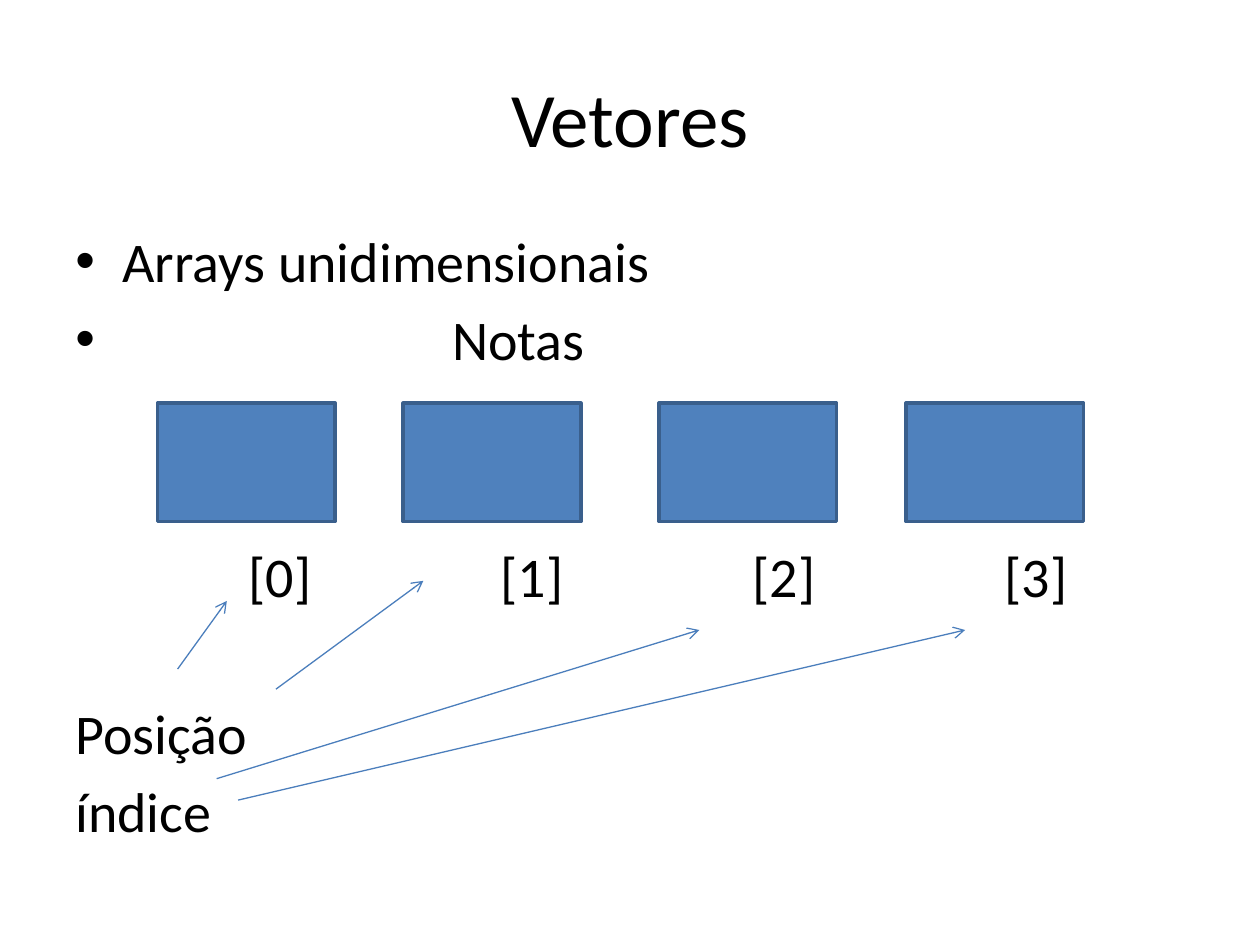
from typing import NamedTuple

from lxml import etree
from pptx import Presentation
from pptx.dml.color import RGBColor
from pptx.enum import shapes, text
from pptx.oxml import ns
from pptx.util import Inches, Pt

BLACK = RGBColor(0x00, 0x00, 0x00)
BOX_FILL = RGBColor(0x4F, 0x81, 0xBD)
BOX_EDGE = RGBColor(0x3A, 0x5F, 0x8C)
ARROW = RGBColor(0x4B, 0x7E, 0xBC)

LINE_GAP = 6.2  # points between lines
LINE_STEP = 45.3  # points from one line to the next


class Line(NamedTuple):
    words: str
    indent: float = 0.375
    bullet: bool = False
    skipped: int = 0  # empty line heights above


class Pointer(NamedTuple):
    start: tuple[float, float]
    end: tuple[float, float]


LINES = [
    Line("Arrays unidimensionais", bullet=True),
    Line("Notas", indent=2.99, bullet=True),
    Line("".join(f"\t\t[{i}]" for i in range(4)), skipped=2),
    Line("Posição", skipped=1),
    Line("índice"),
]
BOX_LEFTS = (1.25, 3.2, 5.23, 7.19)
POINTERS = [
    Pointer((1.41, 5.31), (1.8, 4.77)),
    Pointer((2.19, 5.47), (3.36, 4.61)),
    Pointer((1.72, 6.18), (5.55, 5)),
    Pointer((1.89, 6.35), (7.66, 5)),
]


def add_frame(slide, left: float, top: float, width: float, height: float, anchor):
    box = slide.shapes.add_textbox(*map(Inches, (left, top, width, height)))
    frame = box.text_frame
    for name, value in {"word_wrap": True, "vertical_anchor": anchor}.items():
        setattr(frame, name, value)
    return frame


def write(paragraph, words: str, size: float) -> None:
    run = paragraph.add_run()
    run.text = words
    for name, value in {"name": "Calibri", "size": Pt(size)}.items():
        setattr(run.font, name, value)
    run.font.color.rgb = BLACK


def add_line(paragraph, line: Line) -> None:
    write(paragraph, line.words, 32)
    paragraph.space_before = Pt(LINE_GAP + line.skipped * LINE_STEP)
    props = paragraph._p.get_or_add_pPr()
    hanging = Inches(line.indent)
    for name, value in {"marL": hanging, "indent": -hanging, "defTabSz": Inches(1)}.items():
        props.set(name, str(value))
    if line.bullet:
        etree.SubElement(props, ns.qn("a:buFont"), typeface="Arial")
        etree.SubElement(props, ns.qn("a:buChar"), char="•")
    else:
        etree.SubElement(props, ns.qn("a:buNone"))


def add_box(slide, left: float) -> None:
    box = slide.shapes.add_shape(
        shapes.MSO_SHAPE.RECTANGLE, *map(Inches, (left, 3.2, 1.41, 0.94))
    )
    box.shadow.inherit = False
    box.fill.solid()
    box.fill.fore_color.rgb = BOX_FILL
    box.line.color.rgb = BOX_EDGE
    box.line.width = Pt(2)


def add_pointer(slide, pointer: Pointer) -> None:
    arrow = slide.shapes.add_connector(
        shapes.MSO_CONNECTOR.STRAIGHT, *map(Inches, pointer.start + pointer.end)
    )
    arrow.line.color.rgb = ARROW
    arrow.line.width = Pt(0.75)
    etree.SubElement(arrow.line._get_or_add_ln(), ns.qn("a:tailEnd"), type="arrow")
    etree.SubElement(arrow._element.spPr, ns.qn("a:effectLst"))


deck = Presentation()
deck.slide_width, deck.slide_height = Inches(10), Inches(7.5)
slide = deck.slides.add_slide(deck.slide_layouts[6])

# Title
title = add_frame(slide, 0.5, 0.3, 9, 1.25, text.MSO_ANCHOR.MIDDLE).paragraphs[0]
title.alignment = text.PP_ALIGN.CENTER
write(title, "Vetores", 44)

# Body text with the index row
body = add_frame(slide, 0.5, 1.75, 9, 4.95, text.MSO_ANCHOR.TOP)
for number, line in enumerate(LINES):
    add_line(body.add_paragraph() if number else body.paragraphs[0], line)

# Array cells
for left in BOX_LEFTS:
    add_box(slide, left)

# Arrows to the indices
for pointer in POINTERS:
    add_pointer(slide, pointer)

deck.save("out.pptx")
